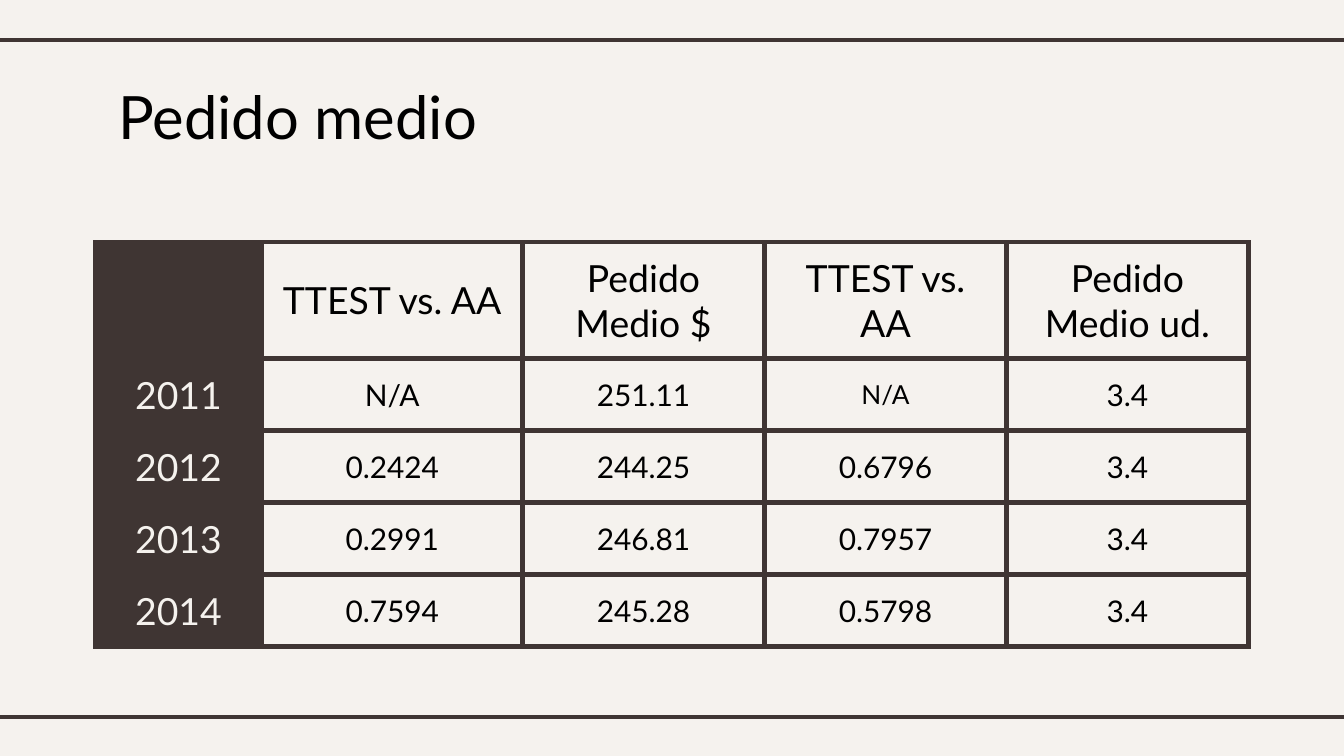
import pptx
import pptx.dml.color
import pptx.enum.shapes
import pptx.enum.text
import pptx.oxml
import pptx.oxml.ns
import pptx.util
from lxml import etree

Pt = pptx.util.Pt
RGBColor = pptx.dml.color.RGBColor
ALIGN = pptx.enum.text.PP_ALIGN
ANCHOR = pptx.enum.text.MSO_ANCHOR
qualified_name = pptx.oxml.ns.qn

CREAM = RGBColor(0xF5, 0xF2, 0xEE)
BROWN = RGBColor(0x3F, 0x35, 0x33)
BLACK = RGBColor(0, 0, 0)
FONT = "Lato"

SLIDE_WIDTH, SLIDE_HEIGHT = 720, 405
INSET = Pt(7.2)
THIN, THICK = 2.25, 3

COLUMN_WIDTHS = [89.3, 139.7, 129.6, 129.6, 129.6]
HEADER_HEIGHT, ROW_HEIGHT = 62.6, 38.4
ROWS = [
    ["", "TTEST vs. AA", "Pedido Medio $", "TTEST vs. AA", "Pedido Medio ud."],
    ["2011", "N/A", "251.11", "N/A", "3.4"],
    ["2012", "0.2424", "244.25", "0.6796", "3.4"],
    ["2013", "0.2991", "246.81", "0.7957", "3.4"],
    ["2014", "0.7594", "245.28", "0.5798", "3.4"],
]
SMALL_CELL = (1, 3)


def write_text(text_frame, text, size=16, color=BLACK, align=ALIGN.LEFT):
    paragraph = text_frame.paragraphs[0]
    paragraph.alignment = align
    run = paragraph.add_run()
    run.text = text
    run.font.name = FONT
    run.font.size = Pt(size)
    run.font.color.rgb = color


def set_cell_borders(cell, widths):
    """Draw the cell edges; widths are in the order left, right, top, bottom."""
    properties = cell._tc.get_or_add_tcPr()
    for position, (side, width) in enumerate(zip("LRTB", widths)):
        line = etree.Element(qualified_name(f"a:ln{side}"), w=str(int(Pt(width))))
        fill = etree.SubElement(line, qualified_name("a:solidFill"))
        etree.SubElement(fill, qualified_name("a:srgbClr"), val=str(BROWN))
        properties.insert(position, line)


def add_rule(slide, left, top, width):
    connector = slide.shapes.add_connector(
        pptx.enum.shapes.MSO_CONNECTOR.STRAIGHT,
        Pt(left), Pt(top), Pt(left + width), Pt(top))
    connector.line.color.rgb = BROWN
    connector.line.width = Pt(THIN)
    etree.SubElement(connector._element.spPr, qualified_name("a:effectLst"))


def place_title(slide, text, left, top, width, height):
    title = slide.shapes.title
    title.left, title.top = Pt(left), Pt(top)
    title.width, title.height = Pt(width), Pt(height)
    frame = title.text_frame
    frame.margin_left = frame.margin_right = INSET
    frame.margin_top = frame.margin_bottom = INSET
    frame.vertical_anchor = ANCHOR.TOP
    frame.auto_size = pptx.enum.text.MSO_AUTO_SIZE.NONE
    frame.word_wrap = True
    write_text(frame, text, size=32)


def format_cell(cell, text, row, column):
    is_year, is_header = column == 0, row == 0
    cell.margin_left = cell.margin_right = INSET
    cell.margin_top = cell.margin_bottom = INSET
    cell.vertical_anchor = ANCHOR.MIDDLE

    if text:
        size = 20 if is_year or is_header else 16
        if (row, column) == SMALL_CELL:
            size = 14
        write_text(cell.text_frame, text, size=size,
                   color=CREAM if is_year else BLACK, align=ALIGN.CENTER)

    edge = THIN if is_year else THICK
    set_cell_borders(cell, [
        THIN if is_year or (is_header and column == 1) else THICK,
        THIN if is_year and is_header else THICK,
        THIN if is_header else edge,
        edge,
    ])
    cell.fill.solid()
    cell.fill.fore_color.rgb = BROWN if is_year else CREAM


def place_table(slide, rows, left, top, width, height):
    table = slide.shapes.add_table(
        len(rows), len(rows[0]), Pt(left), Pt(top), Pt(width), Pt(height)).table
    table.first_row = table.horz_banding = False
    for column, column_width in zip(table.columns, COLUMN_WIDTHS):
        column.width = Pt(column_width)
    for index, row in enumerate(table.rows):
        row.height = Pt(ROW_HEIGHT if index else HEADER_HEIGHT)
    for row, texts in enumerate(rows):
        for column, text in enumerate(texts):
            format_cell(table.cell(row, column), text, row, column)


def main():
    presentation = pptx.Presentation()
    presentation.slide_width = Pt(SLIDE_WIDTH)
    presentation.slide_height = Pt(SLIDE_HEIGHT)
    slide = presentation.slides.add_slide(presentation.slide_layouts[5])
    slide.background.fill.solid()
    slide.background.fill.fore_color.rgb = CREAM

    # Rules across the top and bottom
    for top in (21.5, 384):
        add_rule(slide, -6, top, SLIDE_WIDTH + 12)

    # Title
    place_title(slide, "Pedido medio", 56.2, 35.3, 607.6, 45.4)

    # Average order by year
    table_height = HEADER_HEIGHT + ROW_HEIGHT * (len(ROWS) - 1)
    place_table(slide, ROWS, 51, 129.6, sum(COLUMN_WIDTHS), table_height)

    presentation.save("out.pptx")


if __name__ == "__main__":
    main()
